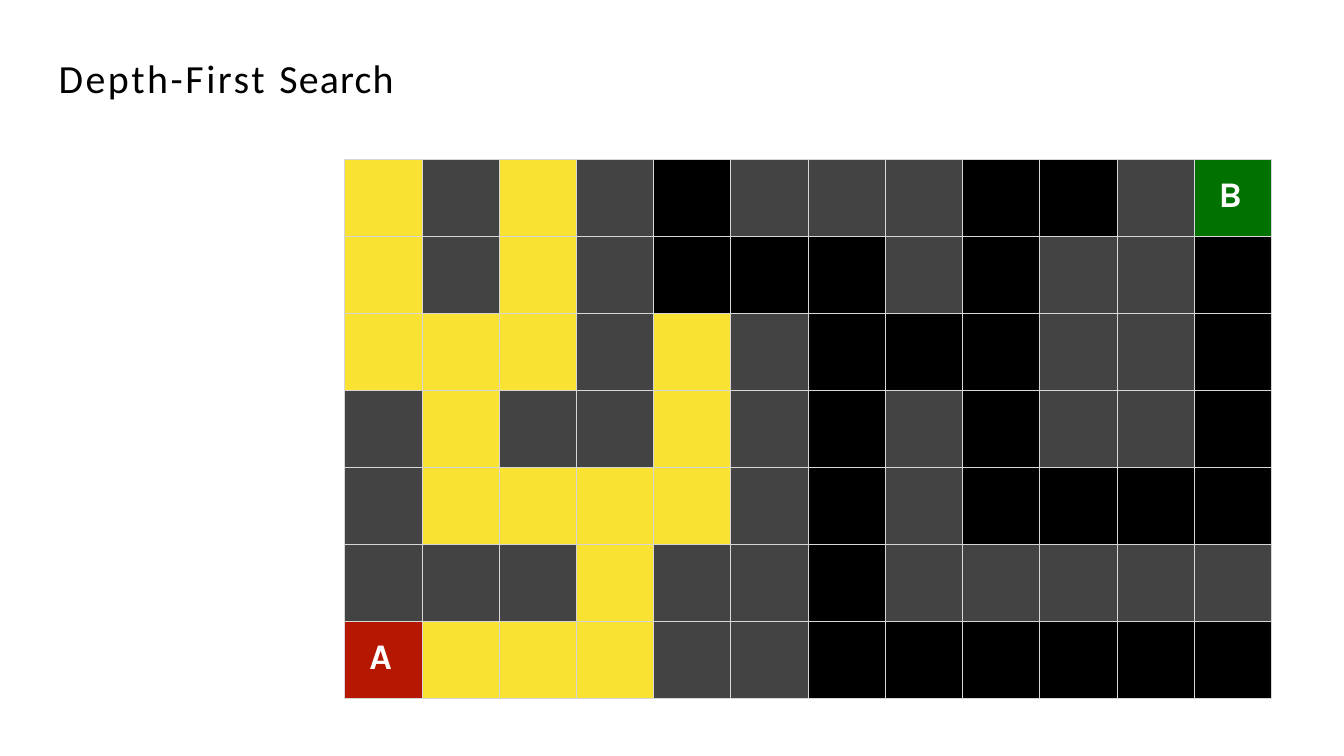
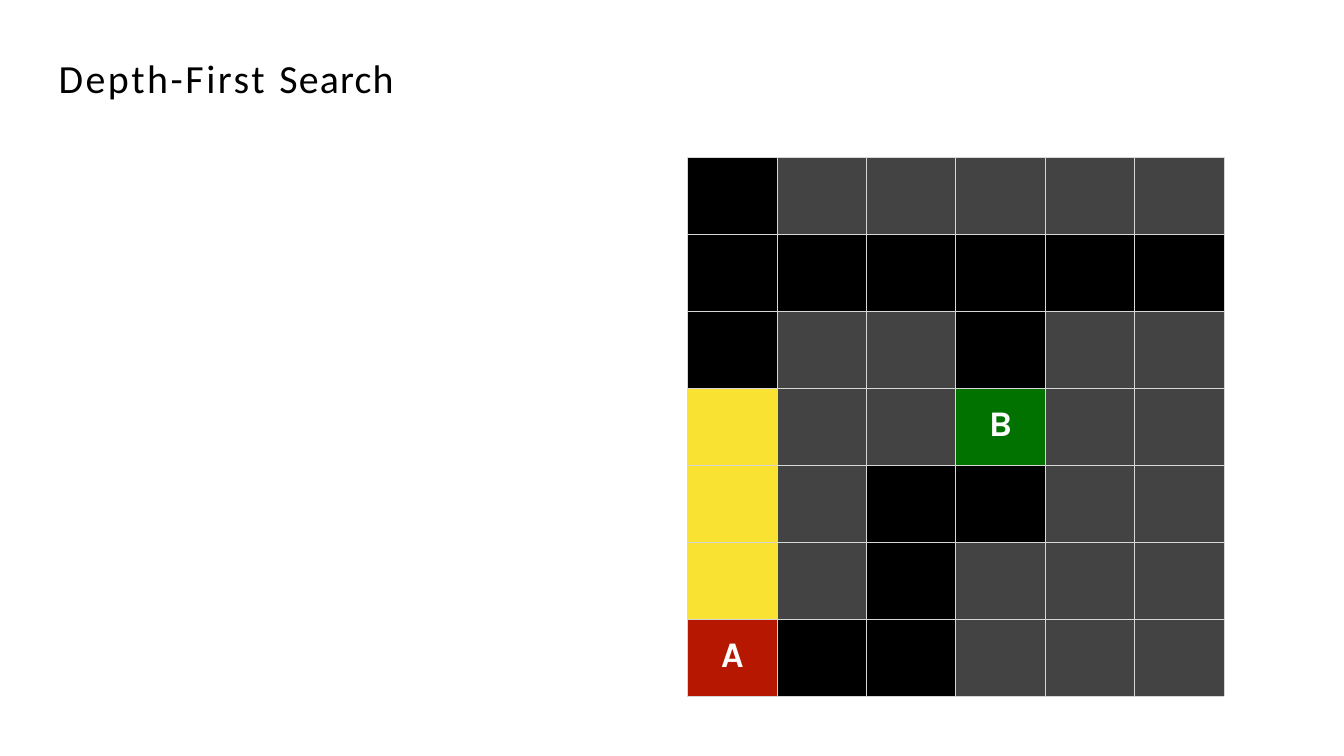
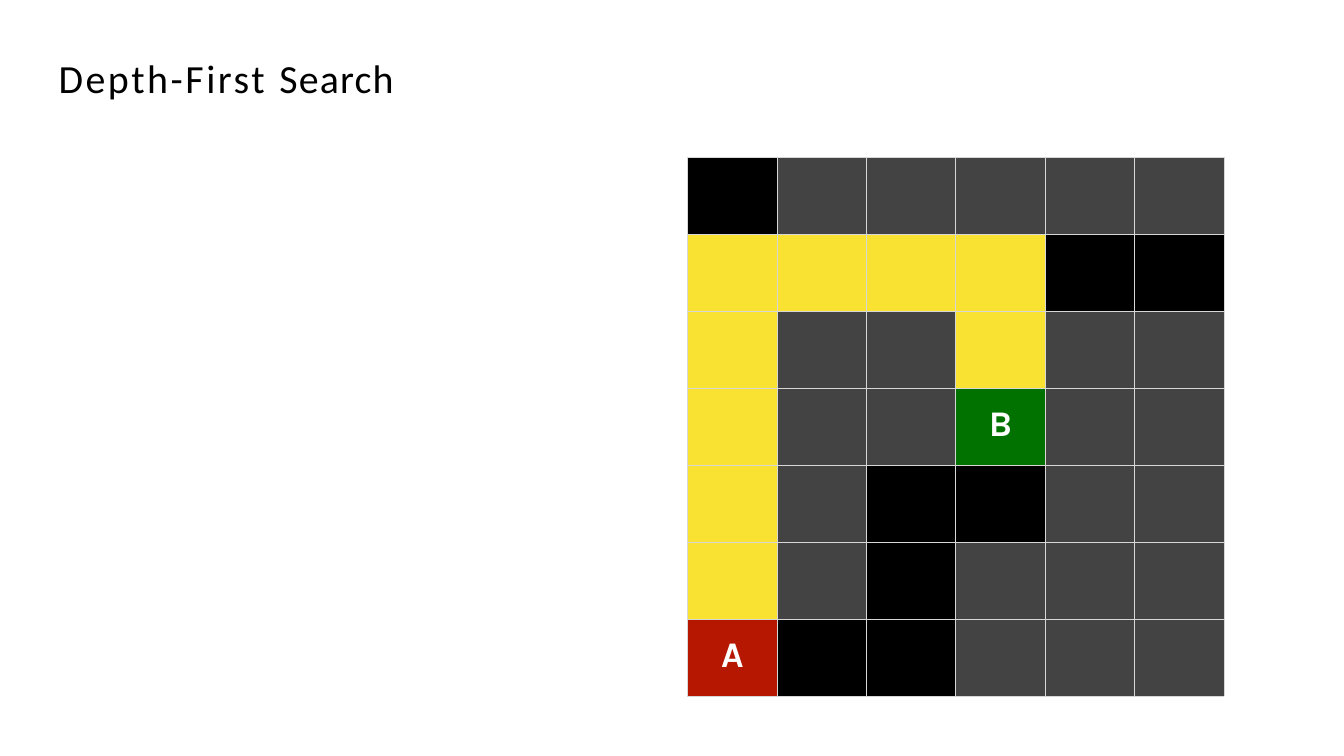
import pptx
import pptx.dml.color
import pptx.enum.text
import pptx.util
from lxml import etree
from pptx.oxml.ns import qn

Pt = pptx.util.Pt
ALIGN = pptx.enum.text.PP_ALIGN
ANCHOR = pptx.enum.text.MSO_ANCHOR

WIDE, HIGH = 1583.28, 890.64
BLACK, WHITE, RULE = "000000", "FFFFFF", "D6D7D6"
FILLS = {".": BLACK, "#": "434343", "*": "FAE232", "A": "B51700", "B": "017100"}

# "#" is a wall, "." is open, "*" is explored, A is the start and B the goal.
LARGE = [
    "*#*#.###..#B",
    "*#*#...#.##.",
    "***#*#...##.",
    "#*##*#.#.##.",
    "#****#.#....",
    "###*##.#####",
    "A***##......",
]
SMALL = [
    ".#####",
    "......",
    ".##.##",
    ".##B##",
    ".#..##",
    ".#.###",
    "A..###",
]
# Cells as (row, column), in the order of the search.
FIRST = [(5, 0), (4, 0), (3, 0)]
FULL = FIRST + [(2, 0), (1, 0), (1, 1), (1, 2), (1, 3), (2, 3)]


def color(code):
    return pptx.dml.color.RGBColor.from_string(code)


def write(para, text, size=18, face="Calibri", ink=BLACK, bold=False, track=0):
    """Add a run to a paragraph; track is the letter spacing in points."""
    run = para.add_run()
    run.text = text
    font = run.font
    font.name, font.size, font.bold = face, Pt(size), bold
    font.color.rgb = color(ink)
    if track:
        font._element.set("spc", str(round(track * 100)))


def style(layout):
    """Place the title once, for all slides of the layout."""
    title = layout.placeholders[0]
    title.left, title.top = Pt(69), Pt(62)
    title.width, title.height = Pt(439), Pt(58)
    frame = title.text_frame
    frame.margin_left = frame.margin_right = frame.margin_bottom = 0
    frame.margin_top = Pt(1)
    frame.vertical_anchor = ANCHOR.MIDDLE


def start(deck, layout):
    """Add a slide with the shared title."""
    slide = deck.slides.add_slide(layout)
    para = slide.shapes.title.text_frame.paragraphs[0]
    para.alignment = ALIGN.LEFT
    write(para, "Depth-First ", size=47, track=3)
    write(para, "Search", size=47, track=1.4)
    return slide


def border(cell):
    props = cell._tc.get_or_add_tcPr()
    for side in ("lnL", "lnR", "lnT", "lnB"):
        line = etree.SubElement(props, qn("a:" + side), w=str(Pt(1)))
        fill = etree.SubElement(line, qn("a:solidFill"))
        etree.SubElement(fill, qn("a:srgbClr"), val=RULE)


def paint(cell, mark, shift):
    """Draw one cell; shift moves its letter to the left."""
    border(cell)
    cell.fill.solid()
    cell.fill.fore_color.rgb = color(FILLS[mark])
    cell.margin_left = cell.margin_bottom = 0
    cell.margin_right, cell.margin_top = Pt(2 * shift), Pt(18)
    if mark.isalpha():
        para = cell.text_frame.paragraphs[0]
        para.alignment = ALIGN.CENTER
        write(para, mark, size=42.5, face="Karla", ink=WHITE, bold=True)


def draw(slide, maze, left, top, width, height=634.4, shift=0):
    rows, cols = len(maze), len(maze[0])
    table = slide.shapes.add_table(
        rows, cols, Pt(left), Pt(top), Pt(width), Pt(height)).table
    table.first_row = table.horz_banding = False
    for row in table.rows:
        row.height = Pt(height / rows)
    for col in table.columns:
        col.width = Pt(width / cols)
    for r, line in enumerate(maze):
        for c, mark in enumerate(line):
            paint(table.cell(r, c), mark, shift)


def trace(maze, trail):
    """Return the maze with the cells of the trail explored."""
    return ["".join("*" if (r, c) in trail else mark
                    for c, mark in enumerate(line))
            for r, line in enumerate(maze)]


def main():
    deck = pptx.Presentation()
    deck.slide_width, deck.slide_height = Pt(WIDE), Pt(HIGH)
    layout = deck.slide_layouts[5]
    style(layout)
    draw(start(deck, layout), LARGE, 406, 188, 1092, shift=3)
    for trail in (FIRST, FULL):
        draw(start(deck, layout), trace(SMALL, trail), 810, 185.6, 632)
    deck.save("out.pptx")


if __name__ == "__main__":
    main()
